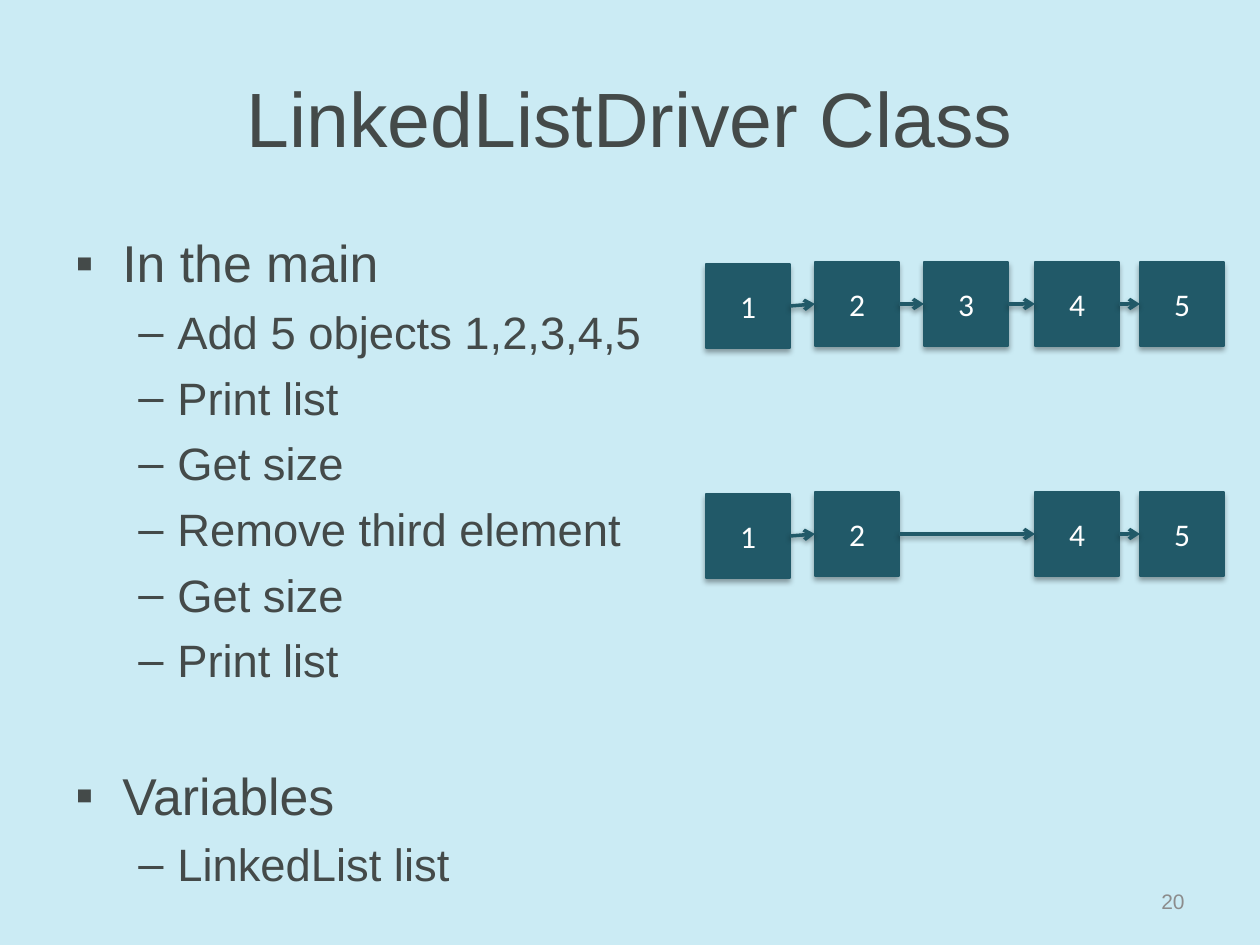
from dataclasses import dataclass

from lxml import etree
from pptx import Presentation
from pptx.dml.color import RGBColor
from pptx.enum.shapes import MSO_CONNECTOR, MSO_SHAPE
from pptx.enum.text import MSO_ANCHOR, PP_ALIGN
from pptx.oxml.ns import qn
from pptx.util import Pt

EMU_PER_PX = 914400 / 126
RECTANGLE = MSO_SHAPE.RECTANGLE
STRAIGHT, CURVE = MSO_CONNECTOR.STRAIGHT, MSO_CONNECTOR.CURVE
TOP, MIDDLE = MSO_ANCHOR.TOP, MSO_ANCHOR.MIDDLE
LEFT, CENTER, RIGHT = PP_ALIGN.LEFT, PP_ALIGN.CENTER, PP_ALIGN.RIGHT
LEFT_SIDE, RIGHT_SIDE = 1, 3


@dataclass(frozen=True)
class Theme:
    background: str = "CBEBF4"
    text: str = "444A49"
    muted: str = "8C8C8C"
    node: str = "215968"
    node_text: str = "FFFFFF"
    shadow: str = "000000"
    font: str = "Arial"
    node_font: str = "Calibri"
    title_size: float = 44
    heading_size: float = 29.6
    item_size: float = 25.9
    node_size: float = 18
    number_size: float = 12


THEME = Theme()

# Per outline level: bullet, text indent and hanging indent in px, type size, space before in pt
LEVELS = [
    ("▪", 47, 47, THEME.heading_size, 43.6),
    ("–", 102, 39, THEME.item_size, 6.4),
]
OUTLINE = [
    (0, "In the main"),
    (1, "Add 5 objects 1,2,3,4,5"),
    (1, "Print list"),
    (1, "Get size"),
    (1, "Remove third element"),
    (1, "Get size"),
    (1, "Print list"),
    (0, "Variables"),
    (1, "LinkedList list"),
]

NODE_SIDE = 84
NODE_LEFTS = {"1": 706, "2": 815, "3": 924, "4": 1035, "5": 1140}
FIRST_NODE_DROP = 2
LISTS = [(262, "12345"), (492, "1245")]


def px(length):
    return round(length * EMU_PER_PX)


def color(value):
    return RGBColor.from_string(value)


def write(paragraph, text, *, size, fill=THEME.text, font=THEME.font, align=LEFT):
    paragraph.alignment = align
    run = paragraph.add_run()
    run.text = text
    run.font.size = Pt(size)
    run.font.name = font
    run.font.color.rgb = color(fill)


def add_text_box(slide, left, top, width, height, anchor=MIDDLE):
    frame = slide.shapes.add_textbox(px(left), px(top), px(width), px(height)).text_frame
    frame.word_wrap = True
    frame.vertical_anchor = anchor
    return frame


def add_bullet(paragraph, character, indent, hanging):
    properties = paragraph._p.get_or_add_pPr()
    properties.set("marL", str(px(indent)))
    properties.set("indent", str(-px(hanging)))
    etree.SubElement(properties, qn("a:buFont"), typeface=THEME.font)
    etree.SubElement(properties, qn("a:buChar"), char=character)


def add_outline(slide):
    frame = add_text_box(slide, 63, 220, 1134, 624, anchor=TOP)
    frame.margin_top = px(11)
    for index, (level, text) in enumerate(OUTLINE):
        paragraph = frame.add_paragraph() if index else frame.paragraphs[0]
        character, indent, hanging, size, space = LEVELS[level]
        paragraph.level = level
        add_bullet(paragraph, character, indent, hanging)
        if index:
            paragraph.space_before = Pt(space)
        write(paragraph, text, size=size)


def set_shadow(shape, opacity, distance):
    """Give a shape or connector a soft shadow straight below it."""
    properties = shape._element.spPr
    for effects in properties.findall(qn("a:effectLst")):
        properties.remove(effects)
    effects = etree.SubElement(properties, qn("a:effectLst"))
    shadow = etree.SubElement(
        effects, qn("a:outerShdw"), blurRad=str(Pt(3.1)), dist=str(Pt(distance)),
        dir="5400000", rotWithShape="0",
    )
    shade = etree.SubElement(shadow, qn("a:srgbClr"), val=THEME.shadow)
    etree.SubElement(shade, qn("a:alpha"), val=str(opacity * 1000))


def add_node(slide, label, top):
    node = slide.shapes.add_shape(
        RECTANGLE, px(NODE_LEFTS[label]), px(top), px(NODE_SIDE), px(NODE_SIDE)
    )
    node.fill.solid()
    node.fill.fore_color.rgb = color(THEME.node)
    node.line.color.rgb = color(THEME.node)
    node.line.width = Pt(0.75)
    set_shadow(node, 35, 1.8)
    frame = node.text_frame
    frame.vertical_anchor = MIDDLE
    write(frame.paragraphs[0], label, size=THEME.node_size, fill=THEME.node_text,
          font=THEME.node_font, align=CENTER)
    return node


def add_link(slide, source, target):
    kind = CURVE if source.top == target.top else STRAIGHT
    link = slide.shapes.add_connector(kind, 0, 0, 0, 0)
    link.begin_connect(source, RIGHT_SIDE)
    link.end_connect(target, LEFT_SIDE)
    link.line.color.rgb = color(THEME.node)
    link.line.width = Pt(2)
    etree.SubElement(link.line._get_or_add_ln(), qn("a:tailEnd"), type="arrow")
    set_shadow(link, 38, 1.6)


def add_linked_list(slide, top, labels):
    nodes = [
        add_node(slide, label, top if index else top + FIRST_NODE_DROP)
        for index, label in enumerate(labels)
    ]
    for source, target in zip(nodes, nodes[1:]):
        add_link(slide, source, target)


def main():
    presentation = Presentation()
    presentation.slide_width = px(1260)
    presentation.slide_height = px(945)
    slide = presentation.slides.add_slide(presentation.slide_layouts[6])
    slide.background.fill.solid()
    slide.background.fill.fore_color.rgb = color(THEME.background)

    title = add_text_box(slide, 63, 38, 1134, 157)
    write(title.paragraphs[0], "LinkedListDriver Class", size=THEME.title_size, align=CENTER)
    add_outline(slide)
    number = add_text_box(slide, 903, 876, 294, 50)
    write(number.paragraphs[0], "20", size=THEME.number_size, fill=THEME.muted, align=RIGHT)
    for top, labels in LISTS:
        add_linked_list(slide, top, labels)

    presentation.save("out.pptx")


if __name__ == "__main__":
    main()
